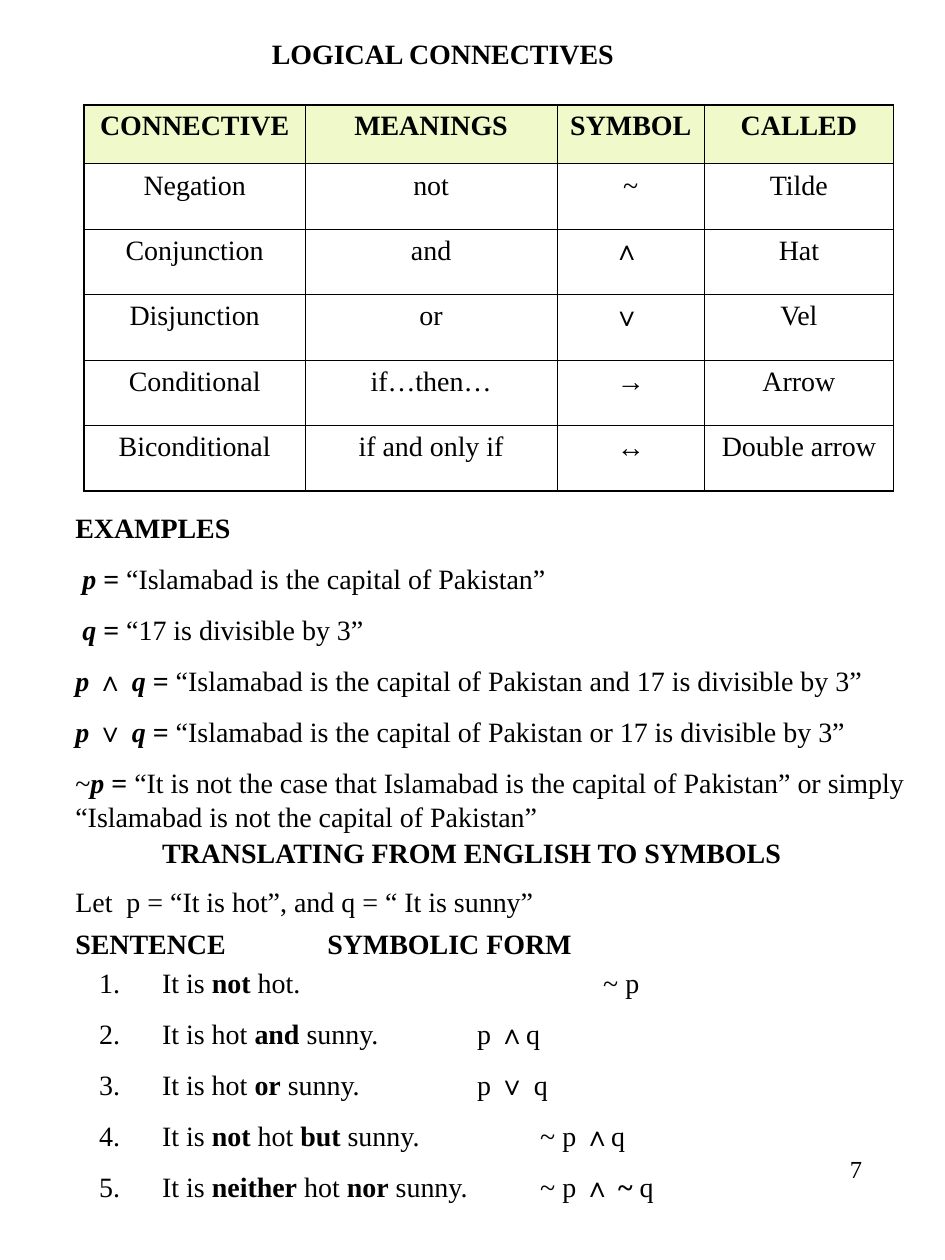
from lxml import etree
from pptx import Presentation
from pptx import util as u
from pptx.dml.color import RGBColor
from pptx.enum import text as t
from pptx.oxml import ns

BLACK = RGBColor(0x00, 0x00, 0x00)
HEADER_GREEN = RGBColor(0xF0, 0xF9, 0xC9)
SERIF, SANS = "Times New Roman", "Arial"
INCH_TABS = range(8)


def write(para, spans, size=16, before=0, align=t.PP_ALIGN.LEFT, indent=(0, 0),
          number=False, tabs=INCH_TABS):
    """Fill a paragraph with (text, style) spans; b = bold, i = italic, s = symbol."""
    para.alignment = align
    para.space_before = u.Pt(before)
    props = para._p.get_or_add_pPr()
    for name, value in zip(("marL", "indent"), indent):
        props.set(name, str(u.Cm(value)))
    if number:
        colour = etree.SubElement(props, ns.qn("a:buClr"))
        etree.SubElement(colour, ns.qn("a:srgbClr"), val=str(BLACK))
        etree.SubElement(props, ns.qn("a:buFont"), typeface="+mj-lt")
        etree.SubElement(props, ns.qn("a:buAutoNum"), type="arabicPeriod")
    else:
        etree.SubElement(props, ns.qn("a:buNone"))
    stops = etree.SubElement(props, ns.qn("a:tabLst"))
    for stop in tabs:
        etree.SubElement(stops, ns.qn("a:tab"), pos=str(u.Cm(2.54 * stop)), algn="l")
    for words, style in spans:
        span = para.add_run()
        span.text = words
        formats = {"name": SANS if "s" in style else SERIF, "size": u.Pt(size),
                   "bold": "b" in style, "italic": "i" in style}
        for name, value in formats.items():
            setattr(span.font, name, value)
        span.font.color.rgb = BLACK


def fill_box(box, place, lines, anchor=t.MSO_ANCHOR.TOP, fit=t.MSO_AUTO_SIZE.NONE, **layout):
    """Place a text shape and write one paragraph for each line."""
    for name, value in zip(("left", "top", "width", "height"), place):
        setattr(box, name, u.Cm(value))
    frame = box.text_frame
    settings = {"word_wrap": True, "auto_size": fit, "vertical_anchor": anchor,
                "margin_left": u.Cm(0.25), "margin_right": u.Cm(0.25),
                "margin_top": u.Cm(0.13), "margin_bottom": u.Cm(0.13)}
    for name, value in settings.items():
        setattr(frame, name, value)
    for index, spans in enumerate(lines):
        para = frame.add_paragraph() if index else frame.paragraphs[0]
        if layout.get("level"):
            para.level = layout["level"]
        options = {key: value for key, value in layout.items() if key != "level"}
        if options.pop("number_first", False) and index == 0:
            options.update(number=True, tabs=range(1, 9))
        write(para, spans, **options)


deck = Presentation()
deck.slide_width, deck.slide_height = u.Cm(19.05), u.Cm(25.4)
page = deck.slides.add_slide(deck.slide_layouts[1])
title, body = page.placeholders
CENTRE, MIDDLE = t.PP_ALIGN.CENTER, t.MSO_ANCHOR.MIDDLE
GROW = t.MSO_AUTO_SIZE.SHAPE_TO_FIT_TEXT

# Page number and title
fill_box(page.shapes.add_textbox(0, 0, 0, 0), (13.67, 23.14, 3.96, 1.7),
         [[("7", "")]], size=14, align=t.PP_ALIGN.RIGHT)
fill_box(title, (0.84, 0.48, 16.18, 1.19), [[("LOGICAL CONNECTIVES", "b")]],
         anchor=MIDDLE, align=CENTRE)

# Table of connectives
connectives = [
    ("CONNECTIVE", "MEANINGS", "SYMBOL", "CALLED"),
    ("Negation", "not", "~", "Tilde"),
    ("Conjunction", "and", "∧ ", "Hat"),
    ("Disjunction", "or", "∨ ", "Vel"),
    ("Conditional", "if…then…", "→", "Arrow"),
    ("Biconditional", "if and only if", "↔", "Double arrow"),
]
widths = (4.45, 5.08, 2.97, 3.81)
last_row, last_col = len(connectives) - 1, len(widths) - 1
table = page.shapes.add_table(len(connectives), len(widths), u.Cm(1.7), u.Cm(2.11),
                              u.Cm(sum(widths)), u.Cm(7.75)).table
table.horz_banding = False
for column, width in zip(table.columns, widths):
    column.width = u.Cm(width)
for r, entries in enumerate(connectives):
    table.rows[r].height = u.Cm(1.32 if r else 1.19)
    for c, entry in enumerate(entries):
        cell = table.cell(r, c)
        style = "b" if r == 0 else "bs" if c == 2 and r > 1 else ""
        write(cell.text_frame.paragraphs[0], [(entry, style)], before=4, align=CENTRE)
        # Heavier line on the outer edges
        edges = {"lnL": c == 0, "lnR": c == last_col, "lnT": r == 0, "lnB": r == last_row}
        props = cell._tc.get_or_add_tcPr()
        for edge, outer in edges.items():
            line = etree.SubElement(props, ns.qn(f"a:{edge}"),
                                    w=str(u.Pt(1.08 if outer else 0.45)))
            paint = etree.SubElement(line, ns.qn("a:solidFill"))
            etree.SubElement(paint, ns.qn("a:srgbClr"), val=str(BLACK))
        if r == 0:
            cell.fill.solid()
            cell.fill.fore_color.rgb = HEADER_GREEN
        else:
            cell.fill.background()

# Examples
examples = [
    [("EXAMPLES", "b")],
    [(" p ", "bi"), ("= ", "b"), ("“Islamabad is the capital of Pakistan”", "")],
    [(" q ", "bi"), ("=", "b"), (" “17 is divisible by 3”", "")],
]
for symbol, word in (("∧ ", "and"), ("∨ ", "or")):
    examples.append([
        ("p ", "bi"), (symbol, "bs"), ("q ", "bi"), ("=", "b"),
        (f" “Islamabad is the capital of Pakistan {word} 17 is divisible by 3”", "")])
examples.append([
    ("~", ""), ("p ", "bi"), ("= ", "b"),
    ("“It is not the case that Islamabad is the capital of Pakistan” or simply "
     "“Islamabad is not the capital of Pakistan”", "")])
fill_box(page.shapes.add_textbox(0, 0, 0, 0), (0, 10.16, 19.05, 6.76), examples,
         fit=GROW, before=10, level=1, indent=(1.27, 0))

# Translation heading, premise and column heads
fill_box(page.shapes.add_textbox(0, 0, 0, 0), (1.42, 16.51, 16.18, 1.35),
         [[("TRANSLATING FROM ENGLISH TO SYMBOLS", "b")]], anchor=MIDDLE, align=CENTRE)
for top, words, style in (
        (17.7, "\tLet  p = “It is hot”, and q = “ It is sunny”", ""),
        (18.54, "\tSENTENCE  \t\tSYMBOLIC FORM", "b")):
    fill_box(page.shapes.add_textbox(0, 0, 0, 0), (0, top, 19.05, 0.94),
             [[(words, style)]], fit=GROW, before=10)

# Sentences with their symbolic forms
sentences = [
    [("It is ", ""), ("not", "b"), (" hot.\t\t\t~ p", "")],
    [("2.\tIt is hot ", ""), ("and ", "b"), ("sunny.\t\tp ", ""), ("∧", "bs"), ("q", "")],
    [("3.\tIt is hot ", ""), ("or", "b"), (" sunny.\t\tp ", ""), ("∨ ", "bs"), ("q", "")],
    [("4.\tIt is ", ""), ("not", "b"), (" hot ", ""), ("but", "b"),
     (" sunny.\t\t~ p ", ""), ("∧", "bs"), ("q", "")],
    [("5.\tIt is ", ""), ("neither", "b"), (" hot ", ""), ("nor", "b"),
     (" sunny.\t\t~ p ", ""), ("∧", "bs"), (" ~ ", "b"), ("q", "")],
]
fill_box(body, (1.75, 19.33, 17.3, 5.05), sentences, fit=GROW, before=10,
         indent=(1.27, -1.27), number_first=True)

deck.save("out.pptx")
